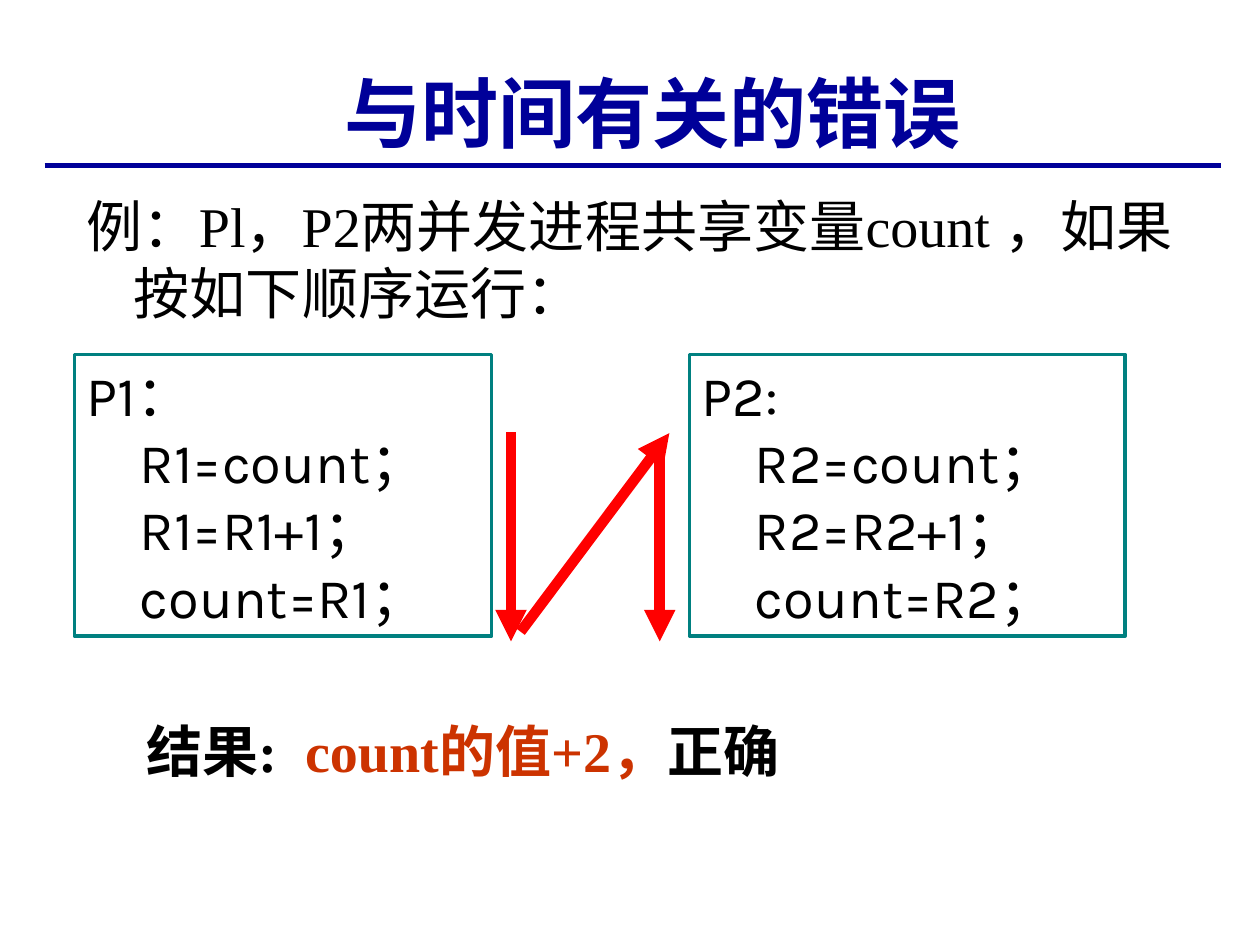
from dataclasses import dataclass
from typing import NamedTuple

from pptx import Presentation
from pptx.dml.color import RGBColor as Rgb
from pptx.enum import shapes as es, text as et
from pptx.oxml import parse_xml
from pptx.oxml.ns import nsdecls
from pptx.util import Pt


@dataclass(frozen=True)
class Theme:
    navy: str = "000099"
    ink: str = "000000"
    teal: str = "008080"
    red: str = "FF0000"
    rust: str = "CC3300"
    sans: str = "Karla"
    serif: str = "Times New Roman"
    head: float = 44
    body: float = 32


T = Theme()


class Run(NamedTuple):
    words: str
    color: str = T.ink
    font: str = T.serif
    size: float = T.body
    bold: bool = False
    gap: float = 0


class Box(NamedTuple):
    left: float
    top: float
    width: float
    height: float


class Line(NamedTuple):
    start: tuple[float, float]
    end: tuple[float, float]
    color: str
    width: float
    arrow: bool = True


class Process(NamedTuple):
    left: float
    width: float
    code: list[str]


def add_run(para, run: Run) -> None:
    r = para.add_run()
    r.text = run.words
    font = r.font
    font.name, font.size, font.bold = run.font, Pt(run.size), run.bold
    font.color.rgb = Rgb.from_string(run.color)
    if run.gap:
        r._r.get_or_add_rPr().set("spc", str(round(run.gap * 100)))


def fill_text(shape, paras: list[list[Run]], anchor=et.MSO_ANCHOR.TOP,
              align=et.PP_ALIGN.LEFT, hang: float = 0) -> None:
    frame = shape.text_frame
    frame.word_wrap = True
    frame.vertical_anchor = anchor
    for i, runs in enumerate(paras):
        para = frame.add_paragraph() if i else frame.paragraphs[0]
        para.alignment = align
        if hang:
            props = para._p.get_or_add_pPr()
            props.set("marL", str(Pt(hang)))
            props.set("indent", str(-Pt(hang)))
        for run in runs:
            add_run(para, run)


def add_text(slide, box: Box, runs: list[Run], **opts) -> None:
    fill_text(slide.shapes.add_textbox(*map(Pt, box)), [runs], **opts)


def add_process(slide, proc: Process) -> None:
    box = Box(proc.left, 202.5, proc.width, 161)
    shape = slide.shapes.add_shape(es.MSO_SHAPE.RECTANGLE, *map(Pt, box))
    shape.shadow.inherit = False
    shape.fill.background()
    shape.line.color.rgb = Rgb.from_string(T.teal)
    shape.line.width = Pt(2)
    fill_text(shape, [[Run(row, font=T.sans)] for row in proc.code])
    shape.text_frame.auto_size = et.MSO_AUTO_SIZE.SHAPE_TO_FIT_TEXT


def add_line(slide, line: Line) -> None:
    ends = map(Pt, (*line.start, *line.end))
    conn = slide.shapes.add_connector(es.MSO_CONNECTOR.STRAIGHT, *ends)
    conn.line.color.rgb = Rgb.from_string(line.color)
    conn.line.width = Pt(line.width)
    if line.arrow:
        tail = parse_xml(f'<a:tailEnd {nsdecls("a")} type="triangle"/>')
        conn.line._get_or_add_ln().append(tail)
    conn._element.spPr.append(parse_xml(f'<a:effectLst {nsdecls("a")}/>'))


def main() -> None:
    deck = Presentation()
    deck.slide_width, deck.slide_height = Pt(720), Pt(540)
    slide = deck.slides.add_slide(deck.slide_layouts[6])

    add_line(slide, Line((25.5, 94.5), (697.5, 94.5), T.navy, 2.5, False))
    add_text(slide, Box(48, 26, 660, 67.5),
             [Run("与时间有关的错误 ", T.navy, T.sans, T.head, True)],
             anchor=et.MSO_ANCHOR.BOTTOM, align=et.PP_ALIGN.CENTER)
    add_text(slide, Box(42.5, 106, 662.5, 134),
             [Run("例：Pl，P2两并发进程共享变量count ，如果按如下顺序运行：")],
             hang=27)

    for proc in (
        Process(42.5, 238.5, ["P1：", "    R1=count；", "    R1=R1+1；", "    count=R1；"]),
        Process(394, 249, ["P2:", "    R2=count；", "    R2=R2+1；", "    count=R2；"]),
    ):
        add_process(slide, proc)

    for line in (
        Line((292, 247), (292, 366.5), T.red, 6),
        Line((297.5, 361), (382.5, 247.5), T.red, 6),
        Line((377, 298), (377, 298), T.ink, 0.75),
        Line((377, 258.5), (377, 366.5), T.red, 6),
    ):
        add_line(slide, line)

    add_text(slide, Box(76.5, 406, 442, 46), [
        Run("结果:", bold=True),
        Run(" ", bold=True, gap=8),
        Run("count的值+2，", T.rust, bold=True),
        Run("正确", bold=True),
    ])
    deck.save("out.pptx")


if __name__ == "__main__":
    main()
